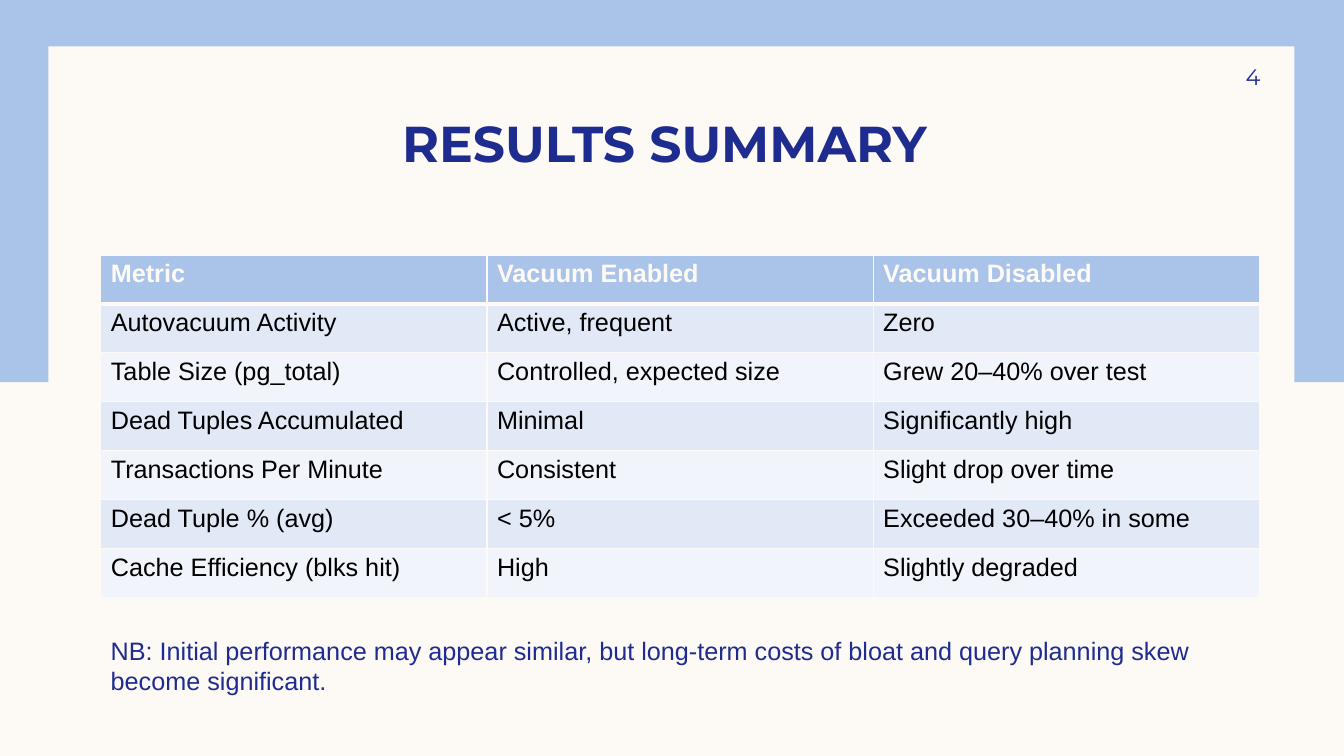
"""Build the results summary slide with its comparison table."""
import lxml.etree
import pptx
import pptx.dml.color
import pptx.enum.shapes
import pptx.enum.text
import pptx.oxml.ns
import pptx.util

Inches = pptx.util.Inches
Align = pptx.enum.text.PP_ALIGN
Anchor = pptx.enum.text.MSO_ANCHOR

BLUE, CREAM, NAVY, BLACK = "AAC3E8", "FDFAF6", "1F2C8F", "000000"
BANDS = ("F1F5FB", "E2E9F6")
RESULTS = [
    ("Metric", "Vacuum Enabled", "Vacuum Disabled"),
    ("Autovacuum Activity", "Active, frequent", "Zero"),
    ("Table Size (pg_total)", "Controlled, expected size", "Grew 20–40% over test"),
    ("Dead Tuples Accumulated", "Minimal", "Significantly high"),
    ("Transactions Per Minute", "Consistent", "Slight drop over time"),
    ("Dead Tuple % (avg)", "< 5%", "Exceeded 30–40% in some"),
    ("Cache Efficiency (blks hit)", "High", "Slightly degraded"),
]
NOTE = ("NB: Initial performance may appear similar, but long-term costs of bloat "
        "and query planning skew become significant.")


def set_fill(fill, color):
    """Give a fill one solid colour."""
    fill.solid()
    fill.fore_color.rgb = pptx.dml.color.RGBColor.from_string(color)


def write_text(frame, text, size=18, font="Arial", color=NAVY, bold=False, align=Align.LEFT):
    """Write one formatted paragraph into a text frame."""
    paragraph = frame.paragraphs[0]
    paragraph.alignment = align
    run = paragraph.add_run()
    run.text = text
    run.font.size = pptx.util.Pt(size)
    run.font.name = font
    run.font.bold = bold
    set_fill(run.font.fill, color)


def add_text(slide, box, text, anchor=Anchor.TOP, margins=(0.1, 0.05, 0.1, 0.05), **text_format):
    """Add a wrapped text box."""
    frame = slide.shapes.add_textbox(*map(Inches, box)).text_frame
    frame.word_wrap = True
    frame.vertical_anchor = anchor
    (frame.margin_left, frame.margin_top,
     frame.margin_right, frame.margin_bottom) = map(Inches, margins)
    write_text(frame, text, **text_format)


def add_panel(slide, box, color):
    """Add a plain rectangle without an outline."""
    rectangle = pptx.enum.shapes.MSO_SHAPE.RECTANGLE
    shape = slide.shapes.add_shape(rectangle, *map(Inches, box))
    shape.shadow.inherit = False
    set_fill(shape.fill, color)
    shape.line.fill.background()


def add_border(cell, side, width):
    """Draw one solid cream border of a cell."""
    qn = pptx.oxml.ns.qn
    properties = cell._tc.get_or_add_tcPr()
    line = lxml.etree.SubElement(properties, qn(f"a:ln{side}"), w=str(pptx.util.Pt(width)))
    solid = lxml.etree.SubElement(line, qn("a:solidFill"))
    lxml.etree.SubElement(solid, qn("a:srgbClr"), val=CREAM)


def add_results_table(slide, box, rows):
    """Add the banded table with its header row."""
    table = slide.shapes.add_table(len(rows), len(rows[0]), *map(Inches, box)).table
    for row_index, row in enumerate(rows):
        header = row_index == 0
        for column_index, text in enumerate(row):
            cell = table.cell(row_index, column_index)
            for side in "LRTB":
                under_header = (row_index, side) in ((0, "B"), (1, "T"))
                add_border(cell, side, 3 if under_header else 1)
            set_fill(cell.fill, BLUE if header else BANDS[row_index % 2])
            write_text(cell.text_frame, text, color=CREAM if header else BLACK, bold=header)


def main():
    """Create the presentation and save it."""
    presentation = pptx.Presentation()
    presentation.slide_width = Inches(13.33)
    presentation.slide_height = Inches(7.5)
    slide = presentation.slides.add_slide(presentation.slide_layouts[6])
    set_fill(slide.background.fill, CREAM)
    add_panel(slide, (-0.03, 0, 13.36, 3.79), BLUE)
    add_panel(slide, (0.48, 0.46, 12.36, 6.59), CREAM)
    add_text(slide, (0.84, 0.6, 11.5, 1.11), "RESULTS SUMMARY", anchor=Anchor.BOTTOM,
             margins=(0.1, 0, 0.1, 0), size=36, font="Montserrat", bold=True,
             align=Align.CENTER)
    add_text(slide, (11.33, 0.5, 1.17, 0.52), "4", anchor=Anchor.MIDDLE,
             margins=(0.1, 0.05, 0, 0.05), size=16, font="Montserrat", align=Align.RIGHT)
    add_results_table(slide, (1, 2.53, 11.49, 3.4), RESULTS)
    add_text(slide, (1, 6.25, 11.5, 0.71), NOTE)
    presentation.save("out.pptx")


if __name__ == "__main__":
    main()
